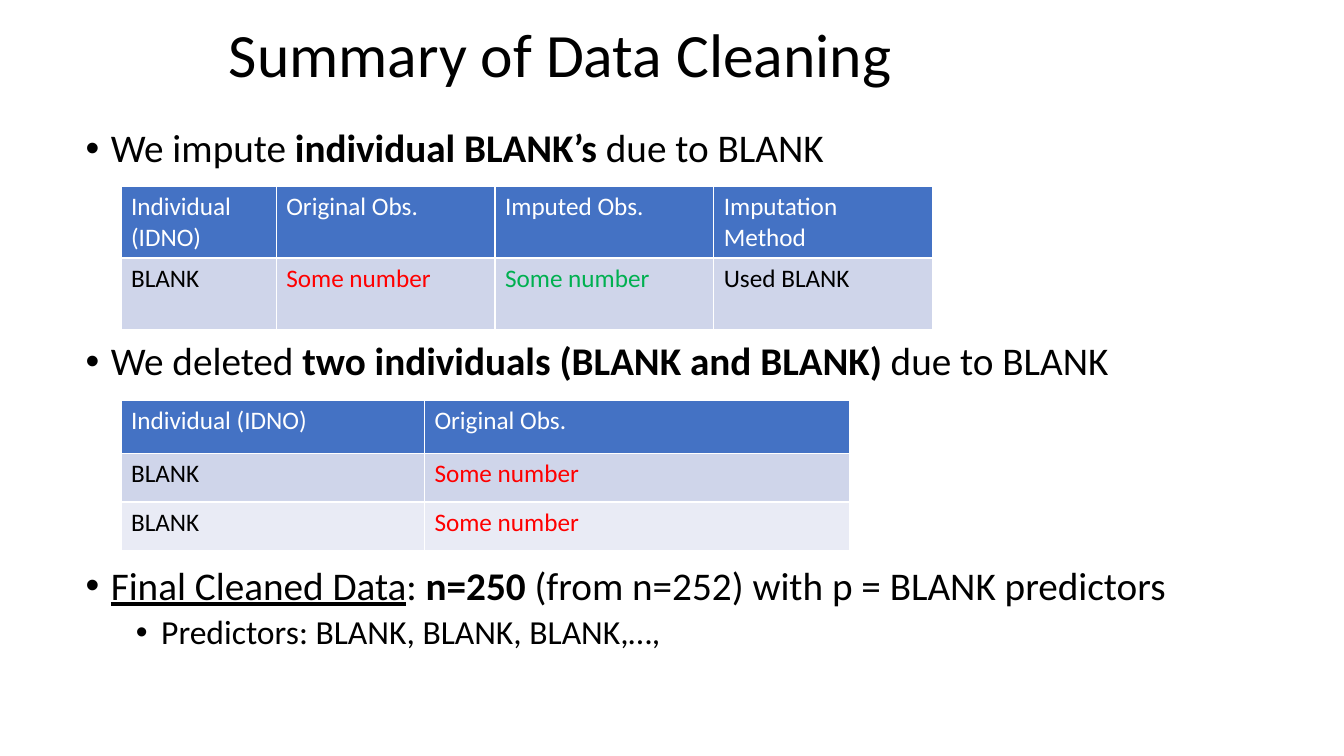
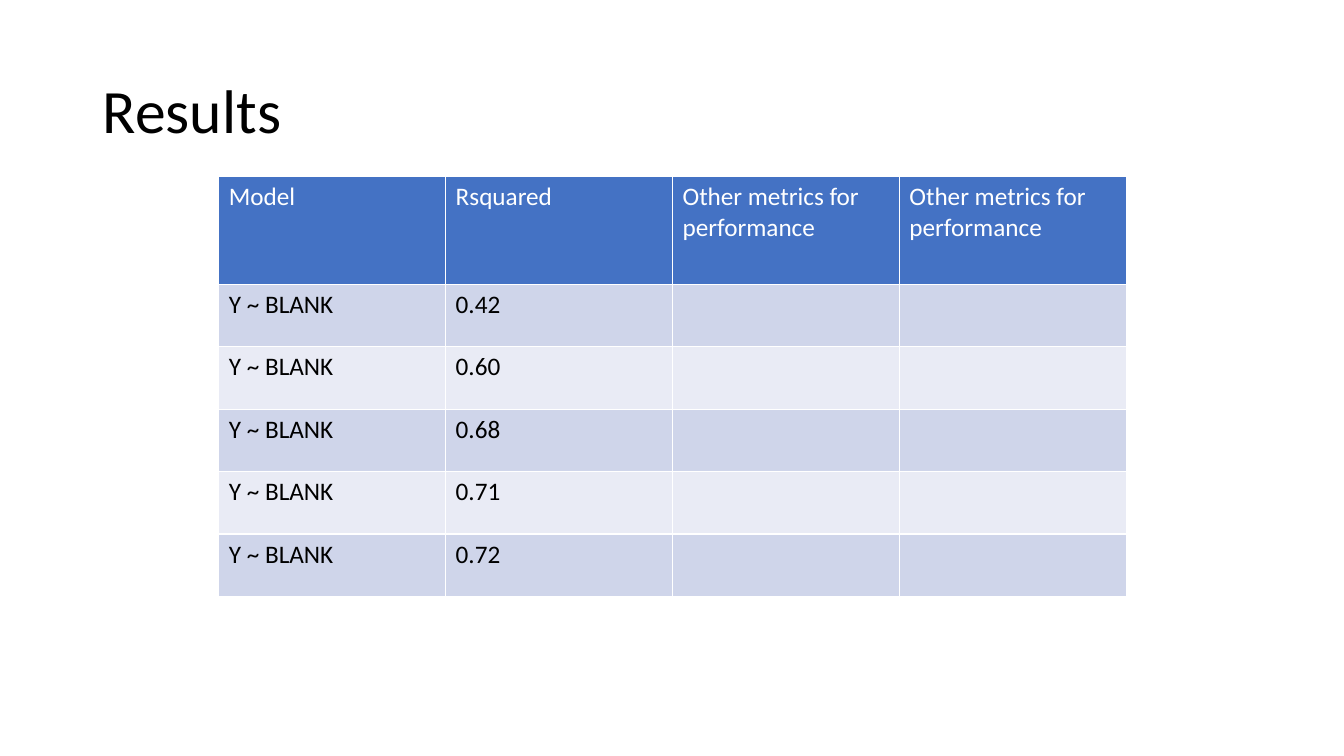
import pptx
import pptx.util
import pptx.dml.color
import pptx.enum.text
import pptx.oxml
import pptx.oxml.ns

Inches, Pt = pptx.util.Inches, pptx.util.Pt
FONT = "Calibri"
BLACK, WHITE, RED, GREEN = "000000", "FFFFFF", "FF0000", "00B050"
HEAD, BANDS = "4472C4", ("CFD5EA", "E9EBF5")
ANCHOR = pptx.enum.text.MSO_ANCHOR
NS = pptx.oxml.ns.nsdecls("a")

deck = pptx.Presentation()
deck.slide_width, deck.slide_height = Inches(13.33), Inches(7.5)


def style(run, size, color=BLACK, bold=False, under=False):
    font = run.font
    font.name, font.size = FONT, Pt(size)
    font.bold, font.underline = bold, under
    font.color.rgb = pptx.dml.color.RGBColor.from_string(color)


def fill_table(slide, left, top, widths, heights, rows):
    """Add a banded table; a cell is text or a (text, colour) pair."""
    table = slide.shapes.add_table(
        len(rows), len(widths), Inches(left), Inches(top),
        Inches(sum(widths)), Inches(sum(heights))).table
    for col, width in zip(table.columns, widths):
        col.width = Inches(width)
    for i, (row, height) in enumerate(zip(rows, heights)):
        table.rows[i].height = Inches(height)
        for j, item in enumerate(row):
            text, color = (item, BLACK if i else WHITE) if isinstance(item, str) else item
            cell = table.cell(i, j)
            cell.fill.solid()
            back = BANDS[(i - 1) % 2] if i else HEAD
            cell.fill.fore_color.rgb = pptx.dml.color.RGBColor.from_string(back)
            cell.text_frame.text = text
            for run in cell.text_frame.paragraphs[0].runs:
                style(run, 18, color)


# Titles
slides = []
for text, box in [("Summary of Data Cleaning", (2.17, -0.05, 9, 1.25)),
                  ("Results", (0.92, 0.4, 11.5, 1.45))]:
    slide = deck.slides.add_slide(deck.slide_layouts[5])
    title = slide.shapes.title
    title.left, title.top, title.width, title.height = map(Inches, box)
    frame = title.text_frame
    frame.text = text
    frame.auto_size = pptx.enum.text.MSO_AUTO_SIZE.NONE
    frame.vertical_anchor = ANCHOR.MIDDLE
    para = frame.paragraphs[0]
    para.alignment = pptx.enum.text.PP_ALIGN.LEFT
    para.line_spacing = 0.9
    style(para.runs[0], 44)
    slides.append(slide)
clean, results = slides

# Bullets: level, space before, size, runs of (text, bold, underline)
bullets = [
    (0, 0, 28, [("We impute ", 0, 0), ("individual BLANK’s ", 1, 0),
                ("due to BLANK", 0, 0)]),
    (0, 122, 28, [("We deleted ", 0, 0), ("two individuals (BLANK and BLANK)", 1, 0),
                  (" due to BLANK", 0, 0)]),
    (0, 130, 28, [("Final Cleaned Data", 0, 1), (": ", 0, 0), ("n=250 ", 1, 0),
                  ("(from n=252) with p = BLANK predictors", 0, 0)]),
    (1, 5, 24, [("Predictors: BLANK, BLANK, BLANK,…,", 0, 0)]),
]
frame = clean.shapes.add_textbox(
    Inches(0.75), Inches(1.23), Inches(12.02), Inches(6.15)).text_frame
frame.word_wrap = True
for i, (level, before, size, parts) in enumerate(bullets):
    para = frame.add_paragraph() if i else frame.paragraphs[0]
    para.level = level
    para.line_spacing, para.space_before = 0.9, Pt(before)
    for text, bold, under in parts:
        run = para.add_run()
        run.text = text
        style(run, size, bold=bool(bold), under=bool(under))
    props = para._p.get_or_add_pPr()
    props.set("marL", str(Inches(0.25 + 0.5 * level)))
    props.set("indent", str(Inches(-0.25)))
    for tag in (f'<a:buFont {NS} typeface="Arial"/>', f'<a:buChar {NS} char="•"/>'):
        props.append(pptx.oxml.parse_xml(tag))

# Tables
bad = ("Some number", RED)
fill_table(clean, 1.2, 1.85, [1.54] + [2.17] * 3, [0.71, 0.71], [
    ["Individual (IDNO)", "Original Obs.", "Imputed Obs.", "Imputation Method"],
    ["BLANK", bad, ("Some number", GREEN), "Used BLANK"]])
fill_table(clean, 1.2, 3.97, [3.01, 4.22], [0.53, 0.48, 0.48],
           [["Individual (IDNO)", "Original Obs."]] + [["BLANK", bad]] * 2)

metric = "Other metrics for performance"
scores = ["0.42", "0.60", "0.68", "0.71", "0.72"]
fill_table(results, 2.17, 1.75, [2.25] * 4, [1.07] + [0.62] * len(scores),
           [["Model", "Rsquared", metric, metric]]
           + [["Y ~ BLANK", score, "", ""] for score in scores])

deck.save("out.pptx")
